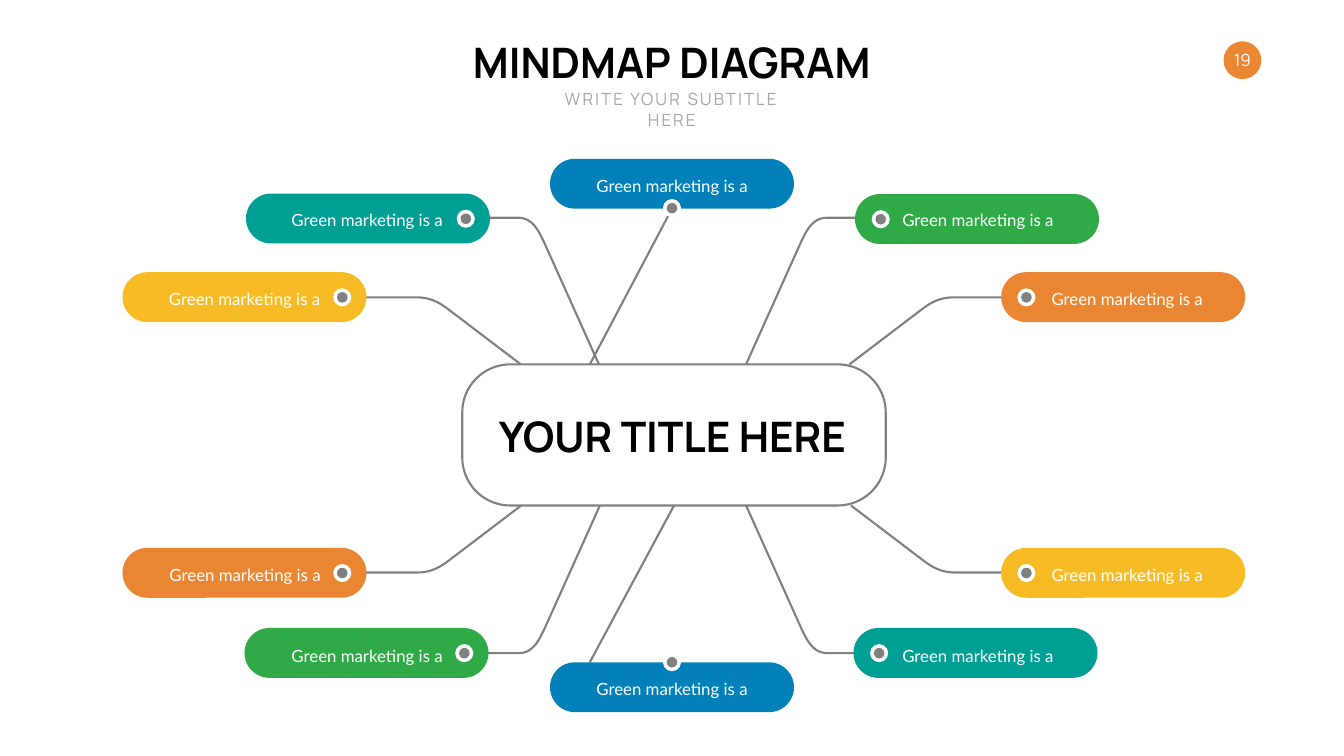
from lxml import etree
from pptx import Presentation
from pptx.dml.color import RGBColor
from pptx.enum.shapes import MSO_CONNECTOR, MSO_SHAPE
from pptx.enum.text import MSO_ANCHOR, MSO_AUTO_SIZE, PP_ALIGN
from pptx.oxml.ns import qn
from pptx.util import Pt

PX = 9144  # EMU per px, 100 px to the inch
OVAL, ROUNDED = MSO_SHAPE.OVAL, MSO_SHAPE.ROUNDED_RECTANGLE
STRAIGHT = MSO_CONNECTOR.STRAIGHT
LEFT, CENTER, RIGHT = PP_ALIGN.LEFT, PP_ALIGN.CENTER, PP_ALIGN.RIGHT
TOP, MIDDLE = MSO_ANCHOR.TOP, MSO_ANCHOR.MIDDLE
NO_AUTOSIZE = MSO_AUTO_SIZE.NONE
SIDE_BOTTOM = 2

COLORS = {
    "white": "FFFFFF", "black": "000000", "line": "808080", "subtitle": "A6A6A6",
    "badge": "EB8632", "orange": "EA8632", "yellow": "F6BB24",
    "teal": "009F94", "green": "2FAA46", "blue": "0180B9",
}
LABEL = "Green marketing is a"
PILL_WIDTH, PILL_HEIGHT = 484, 99
DOT_SIZE, DOT_CORE = 36, 21
CENTER_BOX = (917, 723, 840, 280)

# left, top, colour, text offset, text alignment, dot offset
SIDE_PILLS = [
    (243, 540, "yellow", (50, 22), RIGHT, (418, 32)),
    (1986, 540, "orange", (90, 22), LEFT, (32, 32)),
    (488, 384, "teal", (48, 20), RIGHT, (418, 32)),
    (1696, 385, "green", (84, 19), LEFT, (33, 32)),
    (485, 1246, "green", (51, 23), RIGHT, (418, 32)),
    (1693, 1246, "teal", (87, 23), LEFT, (33, 32)),
    (243, 1087, "orange", (51, 23), RIGHT, (418, 32)),
    (1986, 1087, "yellow", (90, 23), LEFT, (32, 32)),
]

# Offsets from the centre box: bend start, two curve controls, bend end, tip
OUTER_BRANCH = [(146, 111), (160, 121), (176, 132), (204, 133), (314, 133)]
INNER_BRANCH = [(110, 245), (120, 265), (131, 292), (160, 293), (237, 293)]

# start x, start y, horizontal direction, vertical direction, profile
BRANCHES = [
    (1033, 723, -1, -1, OUTER_BRANCH), (1685, 723, 1, -1, OUTER_BRANCH),
    (1189, 725, -1, -1, INNER_BRANCH), (1479, 725, 1, -1, INNER_BRANCH),
    (1034, 1003, -1, 1, OUTER_BRANCH), (1688, 1003, 1, 1, OUTER_BRANCH),
    (1190, 1003, -1, 1, INNER_BRANCH), (1480, 1003, 1, 1, INNER_BRANCH),
]


def emu(*lengths):
    return [round(length * PX) for length in lengths]


def rgb(name):
    return RGBColor.from_string(COLORS[name])


def write_text(shape, text, size=24, font="Lato", color="white", bold=False,
               align=CENTER, anchor=MIDDLE, wrap=True, line_spacing=None,
               letter_spacing=None, inset=None):
    frame = shape.text_frame
    frame.auto_size = NO_AUTOSIZE
    frame.word_wrap = wrap
    frame.vertical_anchor = anchor
    if inset is not None:
        frame.margin_left = frame.margin_right = inset
        frame.margin_top = frame.margin_bottom = inset
    paragraph = frame.paragraphs[0]
    paragraph.alignment = align
    if line_spacing:
        paragraph.line_spacing = Pt(line_spacing)
    run = paragraph.add_run()
    run.text = text
    run.font.size, run.font.name, run.font.bold = Pt(size), font, bold
    run.font.color.rgb = rgb(color)
    if letter_spacing:
        run.font._element.set("spc", str(letter_spacing * 100))


def add_text(slide, box, text, **text_format):
    write_text(slide.shapes.add_textbox(*emu(*box)), text, **text_format)


def add_filled(slide, kind, box, color, rounding=None):
    shape = slide.shapes.add_shape(kind, *emu(*box))
    shape.shadow.inherit = False
    shape.fill.solid()
    shape.fill.fore_color.rgb = rgb(color)
    shape.line.fill.background()
    if rounding is not None:
        shape.adjustments[0] = rounding
    return shape


def style_line(shape):
    shape.line.color.rgb = rgb("line")
    shape.line.width = Pt(3)


def add_branch(slide, x, y, x_direction, y_direction, profile):
    """Draw a line from the centre box that bends to the horizontal."""
    *curve, tip = profile
    offsets = []
    for step in range(13):
        t = step / 12
        weights = ((1 - t) ** 3, 3 * t * (1 - t) ** 2, 3 * t * t * (1 - t), t ** 3)
        offsets.append([sum(weight * point[axis] for weight, point in zip(weights, curve))
                        for axis in (0, 1)])
    offsets.append(tip)
    builder = slide.shapes.build_freeform(*emu(x, y), scale=1.0)
    builder.add_line_segments(
        [emu(x + x_direction * dx, y + y_direction * dy) for dx, dy in offsets], close=False)
    branch = builder.convert_to_shape()
    branch.shadow.inherit = False
    branch.fill.background()
    style_line(branch)


def add_spoke(slide, start_shape, end_x, end_y):
    """Join the bottom middle of a shape to a point."""
    spoke = slide.shapes.add_connector(STRAIGHT, *emu(0, 0, end_x, end_y))
    spoke.begin_connect(start_shape, SIDE_BOTTOM)
    style_line(spoke)
    etree.SubElement(spoke._element.spPr, qn("a:effectLst"))


def add_dot(slide, left, top):
    gap = (DOT_SIZE - DOT_CORE) / 2
    add_filled(slide, OVAL, (left, top, DOT_SIZE, DOT_SIZE), "white")
    add_filled(slide, OVAL, (left + gap, top + gap, DOT_CORE, DOT_CORE), "line")


def add_pill(slide, left, top, color):
    return add_filled(slide, ROUNDED, (left, top, PILL_WIDTH, PILL_HEIGHT), color, 0.5)


def add_pill_details(slide, left, top, text_offset, align, dot_offset):
    add_dot(slide, left + dot_offset[0], top + dot_offset[1])
    add_text(slide, (left + text_offset[0], top + text_offset[1], 352, 54),
             LABEL, align=align, line_spacing=35)


def add_header(slide, left, top, width):
    title = slide.shapes.title
    title.left, title.top, title.width, title.height = emu(left, top, width, 111)
    write_text(title, "MINDMAP DIAGRAM", size=60, font="Manrope", color="black",
               bold=True, anchor=TOP, wrap=False)
    add_text(slide, (left + (width - 543) / 2, top + 105, 543, 100),
             "WRITE YOUR SUBTITLE HERE", font="Manrope", color="subtitle",
             anchor=TOP, letter_spacing=3)


def add_page_badge(slide, left, top, size):
    badge = add_filled(slide, OVAL, (left, top, size, size), "badge")
    write_text(badge, "19", font="Manrope", inset=0)


def add_mindmap(slide, left, top, width, height):
    for branch in BRANCHES:
        add_branch(slide, *branch)
    center = add_filled(slide, ROUNDED, (left, top, width, height), "white", 0.34)
    style_line(center)
    add_text(slide, (979, top + 85, 710, 111), "YOUR TITLE HERE", size=60,
             font="Manrope", color="black", bold=True, wrap=False)

    for pill_left, pill_top, color, *details in SIDE_PILLS:
        add_pill(slide, pill_left, pill_top, color)
        add_pill_details(slide, pill_left, pill_top, *details)

    top_pill = add_pill(slide, 1091, 315, "blue")
    add_spoke(slide, top_pill, 1170, top)
    add_pill_details(slide, 1091, 315, (66, 22), CENTER, (224, 80))
    add_spoke(slide, center, 1170, 1314)
    add_pill(slide, 1091, 1314, "blue")
    add_pill_details(slide, 1091, 1314, (66, 22), CENTER, (224, -18))


def main():
    presentation = Presentation()
    presentation.slide_width, presentation.slide_height = emu(2666, 1500)
    slide = presentation.slides.add_slide(presentation.slide_layouts[5])
    add_header(slide, 901, 67, 863)
    add_page_badge(slide, 2427, 82, 75)
    add_mindmap(slide, *CENTER_BOX)
    presentation.save("out.pptx")


if __name__ == "__main__":
    main()
